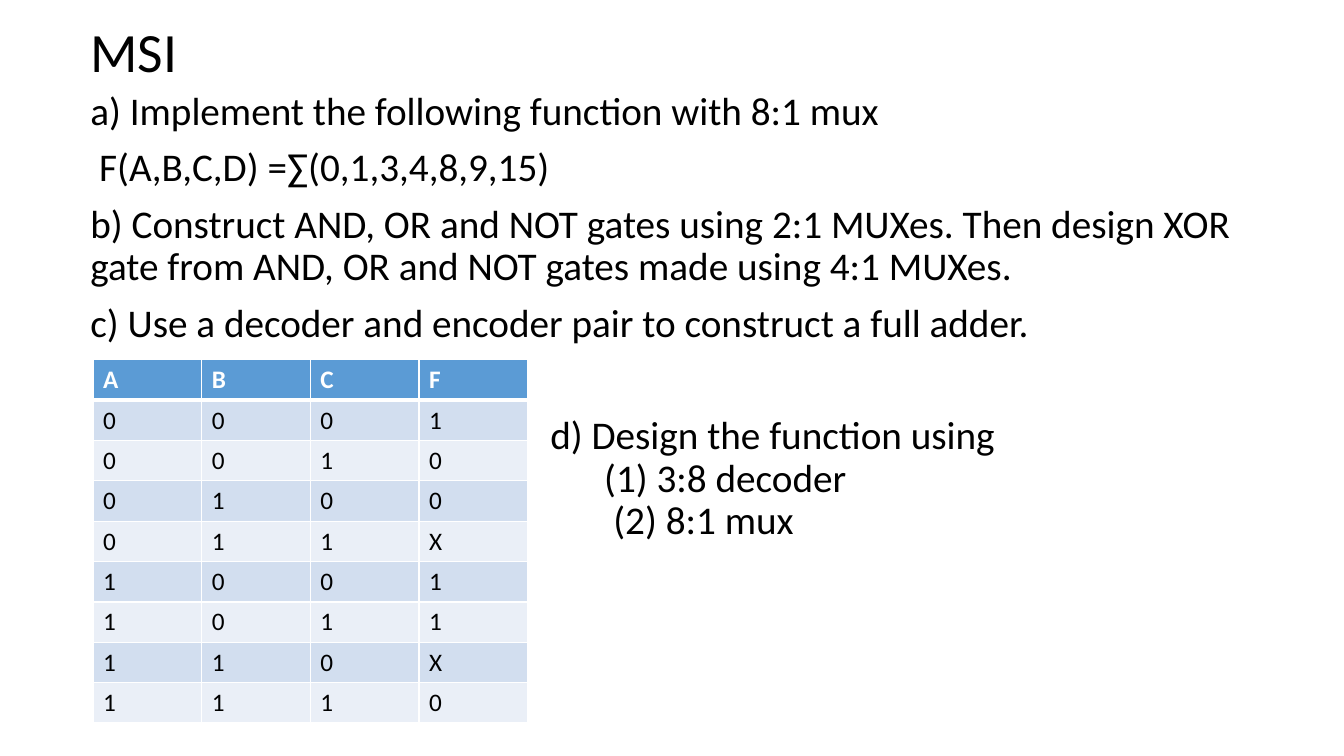
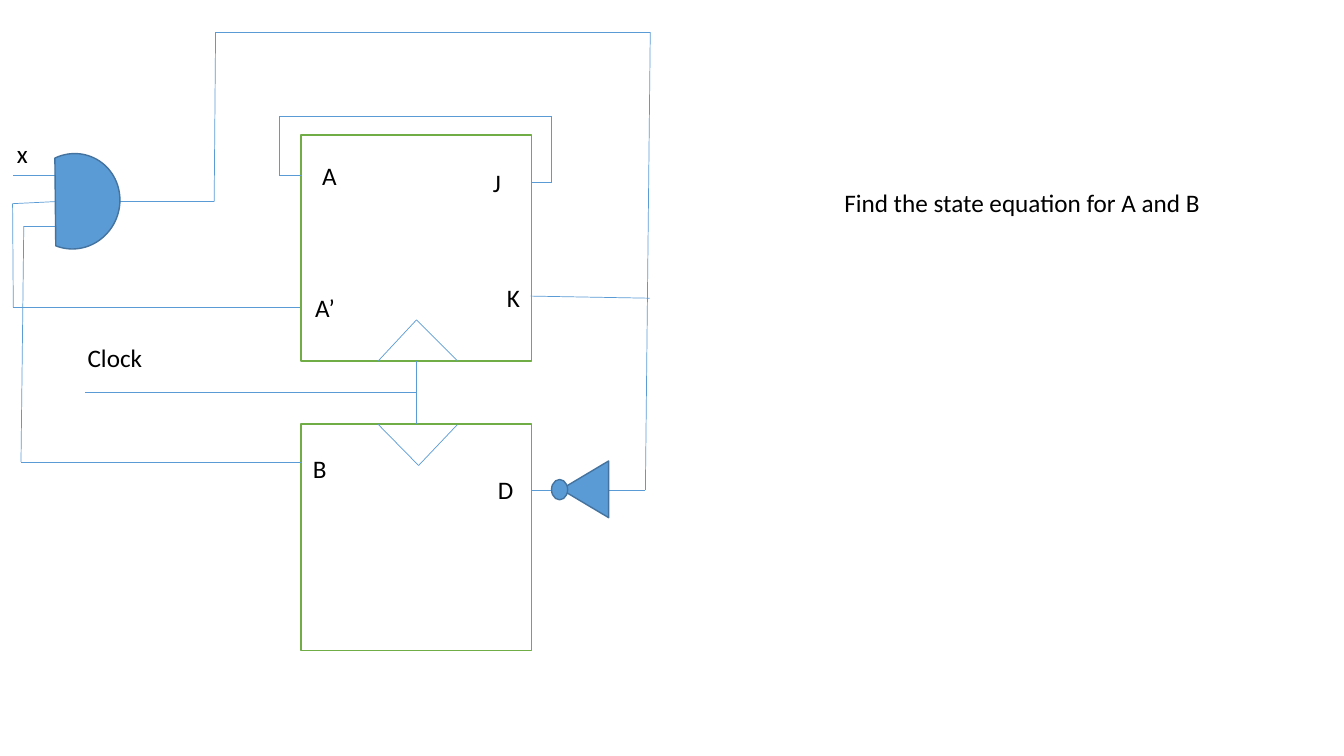
from collections import namedtuple
from itertools import pairwise

from lxml import etree
from pptx import Presentation
from pptx.dml.color import RGBColor
from pptx.enum.shapes import MSO_CONNECTOR, MSO_SHAPE
from pptx.enum.text import MSO_ANCHOR, MSO_AUTO_SIZE, PP_ALIGN
from pptx.oxml.ns import qn
from pptx.util import Pt

STRAIGHT = MSO_CONNECTOR.STRAIGHT
RECTANGLE, CHORD = MSO_SHAPE.RECTANGLE, MSO_SHAPE.CHORD
TRIANGLE, OVAL = MSO_SHAPE.ISOSCELES_TRIANGLE, MSO_SHAPE.OVAL
TOP, MIDDLE = MSO_ANCHOR.TOP, MSO_ANCHOR.MIDDLE
GROW = MSO_AUTO_SIZE.SHAPE_TO_FIT_TEXT
LEFT = PP_ALIGN.LEFT

FONT = "Calibri"
BLACK, WHITE = "000000", "FFFFFF"
BLUE, DARK_BLUE, GREEN = "5B9BD5", "43739E", "70AD47"
ROW_FILLS = ("EAEFF7", "D2DEEF")

Box = namedtuple("Box", "left top width height")
TITLE_BOX = Box(57.5, 16, 828, 46)
QUESTIONS_BOX = Box(57.5, 62, 828, 190)
TRUTH_TABLE_BOX = Box(66.5, 257, 310.5, 259.2)
DESIGN_BOX = Box(386, 293.5, 400, 100)
CIRCUIT_BOX = Box(9, 23, 455.5, 445)
STATE_QUESTION_BOX = Box(596, 130.5, 280, 29)

QUESTIONS = (
    "a) Implement the following function with 8:1 mux",
    " F(A,B,C,D) =∑(0,1,3,4,8,9,15)",
    "b) Construct AND, OR and NOT gates using 2:1 MUXes. Then design "
    "XOR gate from AND, OR and NOT gates made using 4:1 MUXes.",
    "c) Use a decoder and encoder pair to construct a full adder.",
)
DESIGN_LINES = (("d) Design the function using", 0), ("(1) 3:8 decoder", 38.5),
                ("(2) 8:1 mux", 45))
TRUTH_ROWS = ("ABCF", "0001", "0010", "0100", "011X", "1001", "1011", "110X", "1110")

FLIP_FLOP_SIZE = (164.5, 161.5)
CLOCK_MARK_LEFT, CLOCK_MARK_RIGHT, CLOCK_MARK_DEPTH = 55, 112, 29.5
JK_LABELS = (("A", 8, 14.5, 20), ("J", 130, 19.5, 20), ("K", 140, 101.5, 20),
             ("A’", 3, 108.5, 91.5))
D_LABELS = (("B", 1.5, 17.5, 20), ("D", 133.5, 32, 20))
INPUT_LABELS = (("x", -4, 72, 20), ("Clock", 46.5, 218, 66))
WIRES = {
    "clock link": ((288.5, 235), (288.5, 280)),
    "clock": ((52, 257), (288.5, 257)),
    "gate output": ((74.5, 121), (144, 121), (145, 0), (455.5, 0), (452, 327), (370.5, 327)),
    "K input": ((370, 188.5), (455, 190)),
    "A to J": ((206, 102.5), (190.5, 102.5), (190.5, 60), (385, 60), (385, 107.5),
               (370.5, 107.5)),
    "A’ to gate": ((205, 196.5), (0.5, 196.5), (0, 122.5), (30.5, 121)),
    "x to gate": ((0.5, 102.5), (30.5, 102.5)),
    "B to gate": ((206, 307), (6, 307), (8, 138.5), (38, 138.5)),
}


def color(value):
    """Turn a hex string into a colour."""
    return RGBColor.from_string(value)


def points(values):
    """Turn numbers into lengths in points."""
    return [Pt(value) for value in values]


def set_attributes(target, values):
    """Set each named attribute on the target."""
    for name, value in values.items():
        setattr(target, name, value)


def write_paragraph(paragraph, text, size, text_color=BLACK, bold=False, **spacing):
    """Write one run in the shared font and apply paragraph spacing."""
    set_attributes(paragraph, {"alignment": LEFT, **spacing})
    run = paragraph.add_run()
    run.text = text
    set_attributes(run.font, {"name": FONT, "size": Pt(size), "bold": bold})
    run.font.color.rgb = color(text_color)


def add_text(slide, box, lines, size, grow=False, **spacing):
    """Add a text box holding (text, indent) lines."""
    frame = slide.shapes.add_textbox(*points(box)).text_frame
    set_attributes(frame, {"word_wrap": True, "vertical_anchor": TOP})
    if grow:
        frame.auto_size = GROW
    for index, (text, indent) in enumerate(lines):
        paragraph = frame.add_paragraph() if index else frame.paragraphs[0]
        write_paragraph(paragraph, text, size, **spacing)
        if indent:
            paragraph._p.get_or_add_pPr().set("marL", str(Pt(indent)))


def add_labels(slide, left, top, labels):
    """Place small labels relative to a corner."""
    for text, x, y, width in labels:
        add_text(slide, Box(left + x, top + y, width, 29), [(text, 0)], 18, grow=True)


def add_block(slide, kind, box, fill, line, rotation=0):
    """Add a flat preset shape with a one-point outline."""
    shape = slide.shapes.add_shape(kind, *points(box))
    shape.shadow.inherit = False
    shape.rotation = rotation
    shape.fill.solid()
    shape.fill.fore_color.rgb = color(fill)
    shape.line.color.rgb = color(line)
    shape.line.width = Pt(1)


def add_wire(slide, left, top, corners):
    """Join successive corners with thin straight connectors."""
    for start, end in pairwise(corners):
        ends = (left + start[0], top + start[1], left + end[0], top + end[1])
        wire = slide.shapes.add_connector(STRAIGHT, *points(ends))
        wire.line.color.rgb = color(BLUE)
        wire.line.width = Pt(0.5)
        etree.SubElement(wire._element.spPr, qn("a:effectLst"))


def add_title(slide, box, text):
    """Place and format the title placeholder."""
    title = slide.shapes.title
    set_attributes(title, dict(zip(box._fields, points(box))))
    set_attributes(title.text_frame, {"vertical_anchor": MIDDLE, "word_wrap": True})
    write_paragraph(title.text_frame.paragraphs[0], text, 39.6, line_spacing=0.9)


def set_borders(cell, widths):
    """Give a cell white borders of the widths named by side."""
    properties = cell._tc.get_or_add_tcPr()
    for index, side in enumerate("LRTB"):
        border = etree.Element(qn(f"a:ln{side}"), w=str(Pt(widths[side])))
        fill = etree.SubElement(border, qn("a:solidFill"))
        etree.SubElement(fill, qn("a:srgbClr"), val=WHITE)
        properties.insert(index, border)


def add_truth_table(slide, box, rows):
    """Add a banded truth table that fills the box."""
    columns = len(rows[0])
    table = slide.shapes.add_table(len(rows), columns, *points(box)).table
    for column in table.columns:
        column.width = Pt(box.width / columns)
    for row_index, values in enumerate(rows):
        table.rows[row_index].height = Pt(box.height / len(rows))
        header = row_index == 0
        for column_index, value in enumerate(values):
            cell = table.cell(row_index, column_index)
            cell.fill.solid()
            cell.fill.fore_color.rgb = color(BLUE if header else ROW_FILLS[row_index % 2])
            set_borders(cell, {"L": 1, "R": 1, "T": 3 if row_index == 1 else 1,
                               "B": 3 if header else 1})
            write_paragraph(cell.text_frame.paragraphs[0], value, 18,
                            WHITE if header else BLACK, header)


def add_flip_flop(slide, box, labels, tip, clock_at_bottom):
    """Draw a flip-flop with its clock mark and pin labels."""
    add_block(slide, RECTANGLE, box, WHITE, GREEN)
    edge = box.height if clock_at_bottom else 0
    depth = -CLOCK_MARK_DEPTH if clock_at_bottom else CLOCK_MARK_DEPTH
    mark = ((CLOCK_MARK_LEFT, edge), (tip, edge + depth), (CLOCK_MARK_RIGHT, edge))
    add_wire(slide, box.left, box.top, mark)
    add_labels(slide, box.left, box.top, labels)


def add_circuit(slide, box):
    """Draw the two flip-flops, the wiring and the gates."""
    left, top = box.left, box.top
    add_flip_flop(slide, Box(left + 206, top + 73.5, *FLIP_FLOP_SIZE), JK_LABELS, 82.5, True)
    add_flip_flop(slide, Box(left + 206, top + 280, *FLIP_FLOP_SIZE), D_LABELS, 84, False)
    for corners in WIRES.values():
        add_wire(slide, left, top, corners)
    gates = (
        (CHORD, Box(10.5, 86.5, 66, 68.5), 201.7),
        (TRIANGLE, Box(388.5, 309.5, 40.5, 34), 270),
        (OVAL, Box(385, 319.5, 11.5, 14.5), 0),
    )
    for kind, part, rotation in gates:
        placed = part._replace(left=left + part.left, top=top + part.top)
        add_block(slide, kind, placed, BLUE, DARK_BLUE, rotation)
    add_labels(slide, left, top, INPUT_LABELS)


def build_msi_slide(presentation):
    """Build the slide of design exercises."""
    slide = presentation.slides.add_slide(presentation.slide_layouts[5])
    add_title(slide, TITLE_BOX, "MSI")
    add_text(slide, QUESTIONS_BOX, [(text, 0) for text in QUESTIONS], 28,
             line_spacing=0.9, space_before=Pt(10))
    add_text(slide, DESIGN_BOX, DESIGN_LINES, 28, line_spacing=0.9)
    add_truth_table(slide, TRUTH_TABLE_BOX, TRUTH_ROWS)


def build_circuit_slide(presentation):
    """Build the slide of the sequential circuit."""
    slide = presentation.slides.add_slide(presentation.slide_layouts[6])
    add_circuit(slide, CIRCUIT_BOX)
    add_text(slide, STATE_QUESTION_BOX, [("Find the state equation for A and B", 0)], 18,
             grow=True)


def main():
    """Build and save the presentation."""
    presentation = Presentation()
    set_attributes(presentation, {"slide_width": Pt(960), "slide_height": Pt(540)})
    build_msi_slide(presentation)
    build_circuit_slide(presentation)
    presentation.save("out.pptx")


main()
